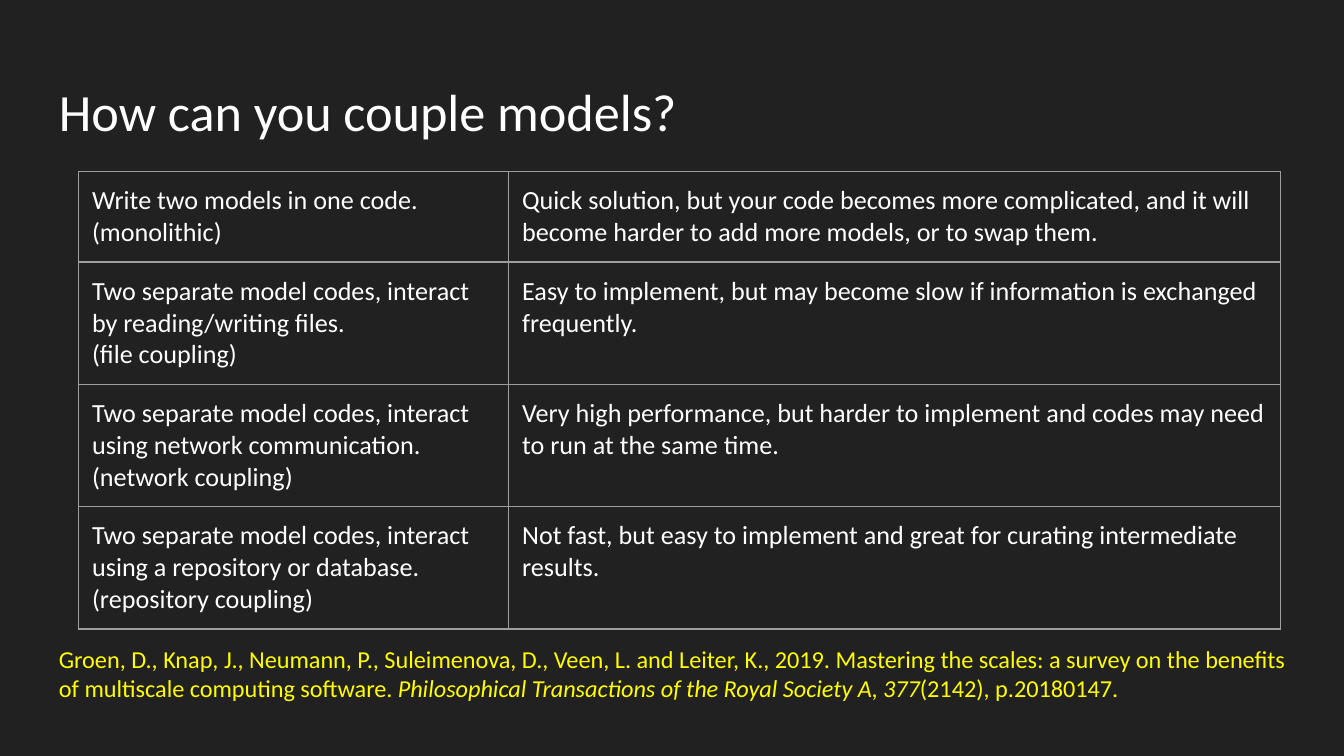
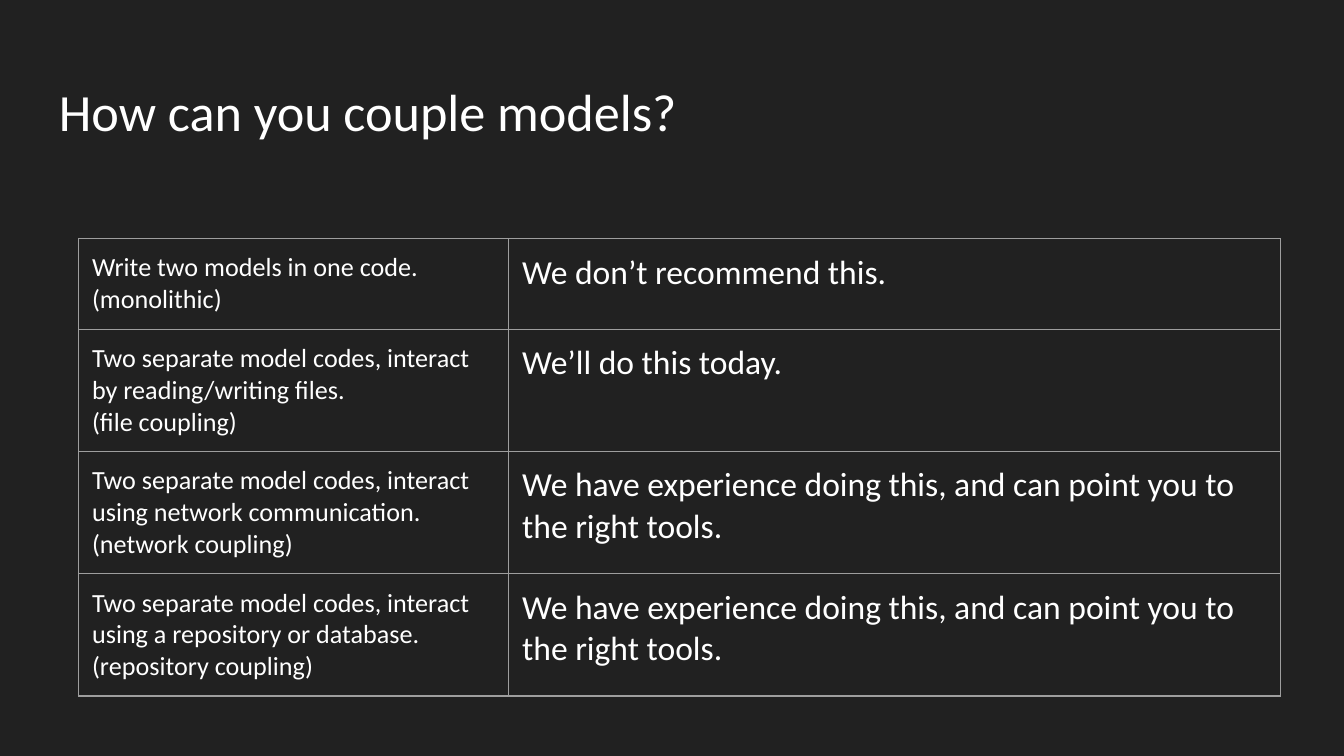
from typing import NamedTuple

from lxml import etree
from pptx import Presentation
from pptx.dml.color import RGBColor
from pptx.enum.text import MSO_ANCHOR
from pptx.oxml.ns import qn
from pptx.util import Emu, Pt

EMU_PER_PX = 4572  # 200 px to the inch
TOP = MSO_ANCHOR.TOP

SLIDE_WIDTH = 2000
SLIDE_HEIGHT = 1125

BACKGROUND = "212121"
WHITE = "FFFFFF"
YELLOW = "FFFF00"
BORDER = "9E9E9E"
FONT = "Calibri"

INSET = 20
BLANK_LAYOUT = 6
BORDER_SIDES = ("a:lnL", "a:lnR", "a:lnT", "a:lnB")
COLUMN_WIDTHS = (640, 1148)
ROW_HEIGHTS = (135, 182, 182, 182)
TABLE_LEFT = 117
METHOD_SIZE = 14


class Box(NamedTuple):
    left: int
    top: int
    width: int
    height: int


class Run(NamedTuple):
    text: str
    italic: bool = False


class Method(NamedTuple):
    description: str
    name: str


class Comparison(NamedTuple):
    table_top: int
    remark_size: int
    remarks: tuple[str, ...]
    citation: tuple[Run, ...] = ()


TITLE = "How can you couple models?"
TITLE_BOX = Box(68, 98, 1864, 126)
CITATION_BOX = Box(68, 938, 1878, 186)

METHODS = (
    Method("Write two models in one code.", "(monolithic)"),
    Method("Two separate model codes, interact by reading/writing files.", "(file coupling)"),
    Method("Two separate model codes, interact using network communication.", "(network coupling)"),
    Method("Two separate model codes, interact using a repository or database.", "(repository coupling)"),
)

EXPERIENCE = "We have experience doing this, and can point you to the right tools."

COMPARISONS = (
    Comparison(
        table_top=255,
        remark_size=14,
        remarks=(
            "Quick solution, but your code becomes more complicated, and it will "
            "become harder to add more models, or to swap them.",
            "Easy to implement, but may become slow if information is exchanged frequently.",
            "Very high performance, but harder to implement and codes may need to run at the same time.",
            "Not fast, but easy to implement and great for curating intermediate results.",
        ),
        citation=(
            Run("Groen, D., Knap, J., Neumann, P., Suleimenova, D., Veen, L. and Leiter, K., 2019. "
                "Mastering the scales: a survey on the benefits of multiscale computing software. "),
            Run("Philosophical Transactions of the Royal Society A", italic=True),
            Run(", "),
            Run("377", italic=True),
            Run("(2142), p.20180147."),
        ),
    ),
    Comparison(
        table_top=355,
        remark_size=18,
        remarks=("We don’t recommend this.", "We’ll do this today.", EXPERIENCE, EXPERIENCE),
    ),
)


def px(length: int) -> Emu:
    return Emu(length * EMU_PER_PX)


def color(hex_code: str) -> RGBColor:
    return RGBColor.from_string(hex_code)


def set_margins(target) -> None:
    """Give a text frame or a table cell the common inset on all sides."""
    target.margin_left = target.margin_right = px(INSET)
    target.margin_top = target.margin_bottom = px(INSET)


def add_run(paragraph, run: Run, size: int, hex_code: str) -> None:
    text_run = paragraph.add_run()
    text_run.text = run.text
    font = text_run.font
    font.name = FONT
    font.size = Pt(size)
    font.italic = run.italic
    font.color.rgb = color(hex_code)


def add_text(slide, box: Box, runs: tuple[Run, ...], size: int, hex_code: str) -> None:
    shape = slide.shapes.add_textbox(*map(px, box))
    frame = shape.text_frame
    frame.word_wrap = True
    frame.vertical_anchor = TOP
    set_margins(frame)
    for run in runs:
        add_run(frame.paragraphs[0], run, size, hex_code)


def set_borders(cell) -> None:
    properties = cell._tc.get_or_add_tcPr()
    for index, side in enumerate(BORDER_SIDES):
        line = etree.Element(qn(side), w=str(Pt(0.75)))
        fill = etree.SubElement(line, qn("a:solidFill"))
        etree.SubElement(fill, qn("a:srgbClr"), val=BORDER)
        properties.insert(index, line)


def fill_cell(cell, lines: tuple[str, ...], size: int) -> None:
    """Write one paragraph per line into a bordered, unfilled cell."""
    cell.fill.background()
    cell.vertical_anchor = TOP
    set_margins(cell)
    set_borders(cell)
    frame = cell.text_frame
    for index, line in enumerate(lines):
        paragraph = frame.add_paragraph() if index else frame.paragraphs[0]
        add_run(paragraph, Run(line), size, WHITE)


def add_method_table(slide, comparison: Comparison) -> None:
    box = Box(TABLE_LEFT, comparison.table_top, sum(COLUMN_WIDTHS), sum(ROW_HEIGHTS))
    table = slide.shapes.add_table(len(METHODS), len(COLUMN_WIDTHS), *map(px, box)).table
    table.first_row = table.horz_banding = False
    for column, width in zip(table.columns, COLUMN_WIDTHS):
        column.width = px(width)
    for row, height in zip(table.rows, ROW_HEIGHTS):
        row.height = px(height)
    for index, (method, remark) in enumerate(zip(METHODS, comparison.remarks)):
        fill_cell(table.cell(index, 0), method, METHOD_SIZE)
        fill_cell(table.cell(index, 1), (remark,), comparison.remark_size)


def add_comparison_slide(presentation, comparison: Comparison) -> None:
    slide = presentation.slides.add_slide(presentation.slide_layouts[BLANK_LAYOUT])
    background = slide.background.fill
    background.solid()
    background.fore_color.rgb = color(BACKGROUND)
    add_text(slide, TITLE_BOX, (Run(TITLE),), 28, WHITE)
    add_method_table(slide, comparison)
    if comparison.citation:
        add_text(slide, CITATION_BOX, comparison.citation, 13, YELLOW)


def main() -> None:
    presentation = Presentation()
    presentation.slide_width = px(SLIDE_WIDTH)
    presentation.slide_height = px(SLIDE_HEIGHT)
    for comparison in COMPARISONS:
        add_comparison_slide(presentation, comparison)
    presentation.save("out.pptx")


if __name__ == "__main__":
    main()
